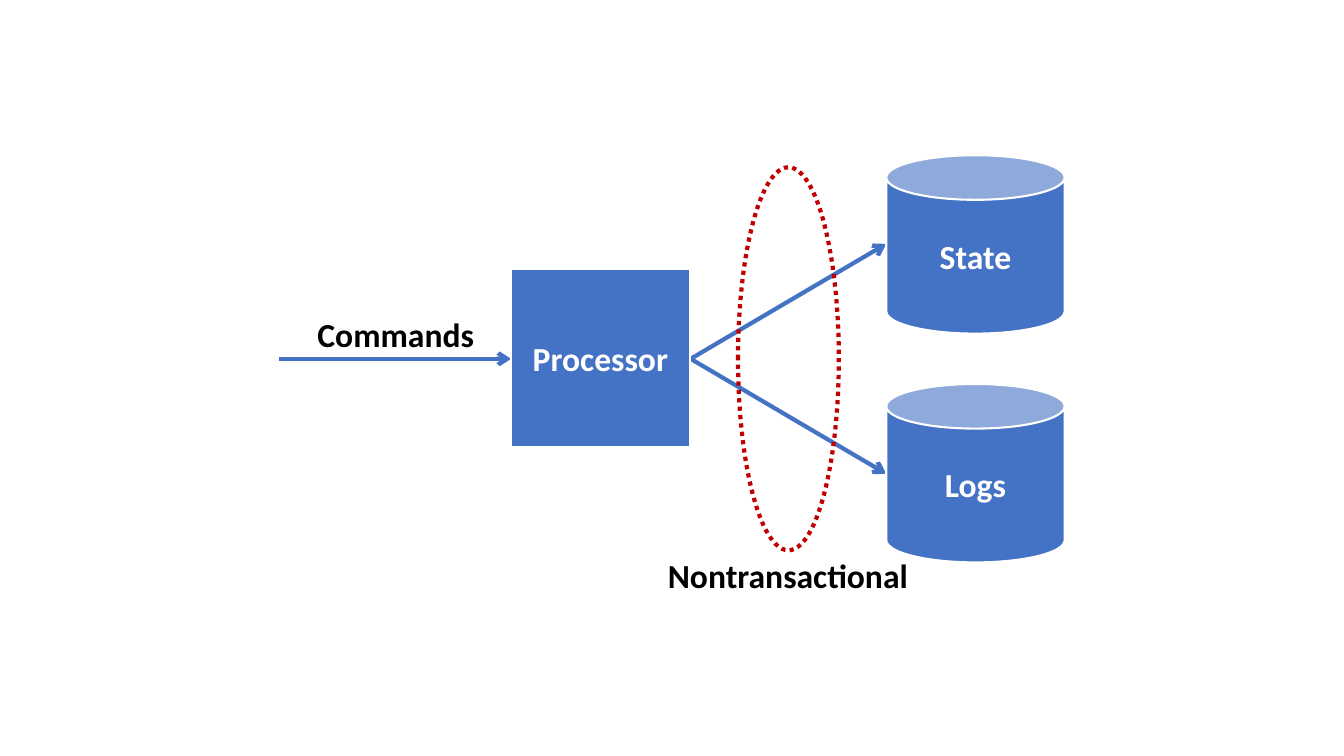
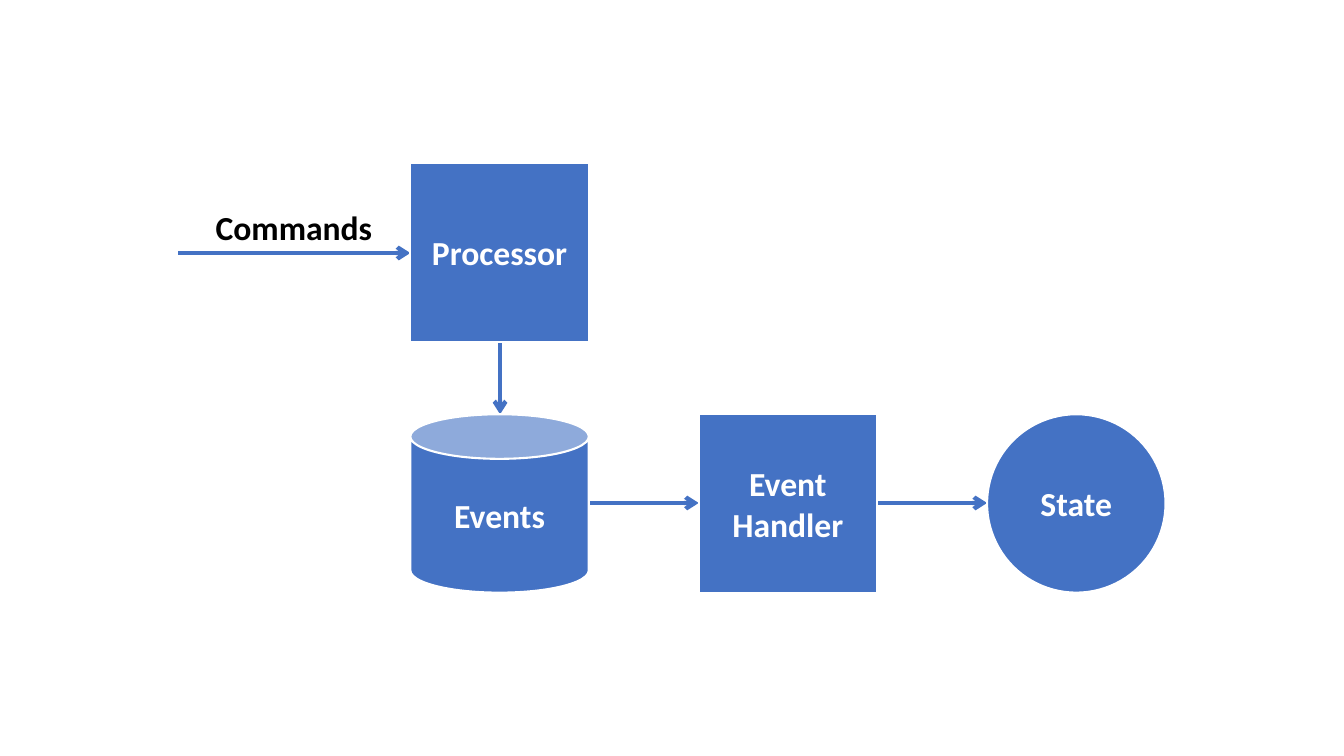
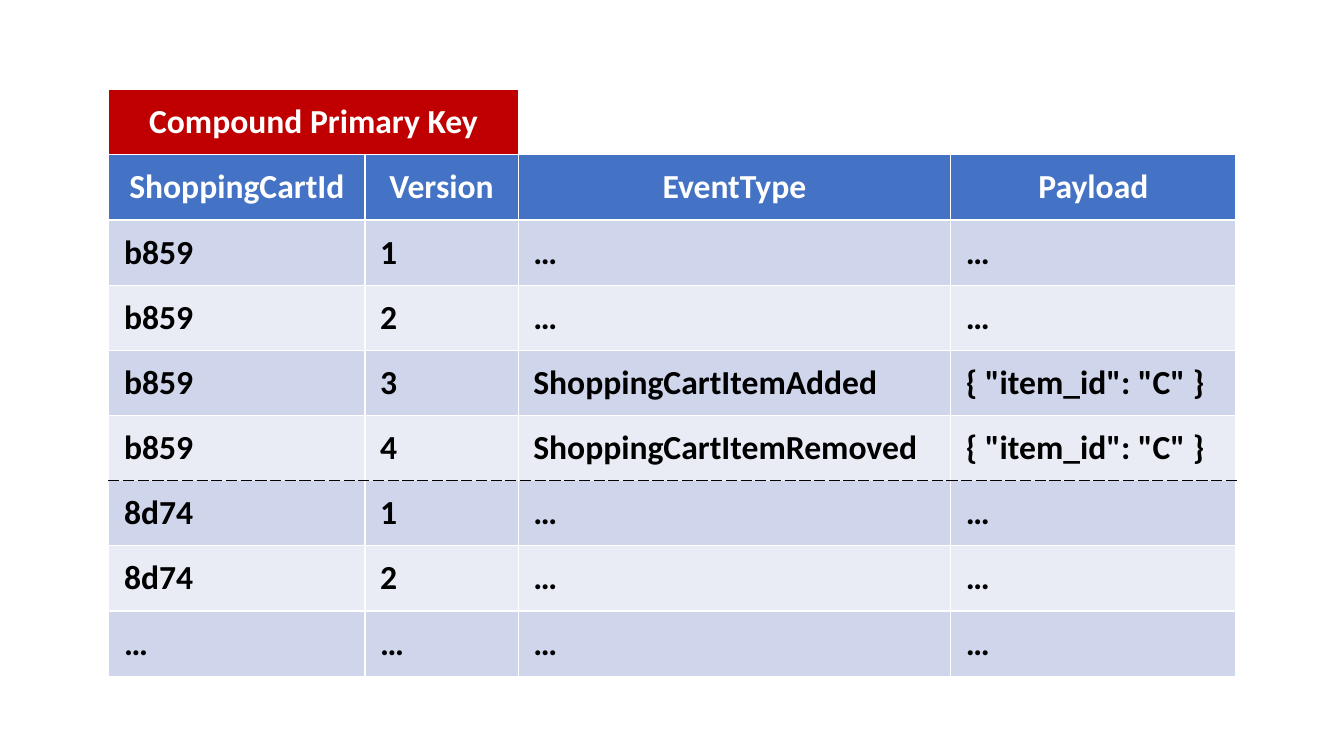
"""Builds three slides on event sourcing: two flow diagrams and an event table."""
import pptx
import pptx.dml.color
import pptx.enum.dml
import pptx.enum.shapes
import pptx.enum.text
import pptx.oxml.ns
import pptx.util
from lxml import etree

Inches = pptx.util.Inches
Pt = pptx.util.Pt
RGBColor = pptx.dml.color.RGBColor
SHAPE = pptx.enum.shapes.MSO_SHAPE
ANCHOR = pptx.enum.text.MSO_ANCHOR
ALIGN = pptx.enum.text.PP_ALIGN
qn = pptx.oxml.ns.qn

BLUE = RGBColor(0x44, 0x72, 0xC4)
RED = RGBColor(0xC0, 0x00, 0x00)
WHITE = RGBColor(0xFF, 0xFF, 0xFF)
BLACK = RGBColor(0x00, 0x00, 0x00)
DARK_BAND = RGBColor(0xCF, 0xD5, 0xEA)
LIGHT_BAND = RGBColor(0xE9, 0xEB, 0xF5)

FONT = {"name": "Calibri", "size": Pt(24), "bold": True}
NODE_SIZE = 1.77
LABEL_HEIGHT = 0.5


def write_text(text_frame, text, color, alignment=ALIGN.CENTER):
    paragraph = text_frame.paragraphs[0]
    paragraph.text = text
    paragraph.alignment = alignment
    for run in paragraph.runs:
        for attribute, value in FONT.items():
            setattr(run.font, attribute, value)
        run.font.color.rgb = color


def add_border(cell, side, color, dash):
    border = etree.SubElement(cell._tc.get_or_add_tcPr(), qn(f"a:ln{side}"), w=str(Pt(1)))
    fill = etree.SubElement(border, qn("a:solidFill"))
    etree.SubElement(fill, qn("a:srgbClr"), val=str(color))
    etree.SubElement(border, qn("a:prstDash"), val=dash)


diagrams = [
    {
        "arrows": [
            (6.85, 3.56, 8.79, 2.42),
            (6.85, 3.56, 8.79, 4.7),
            (2.77, 3.56, 5.07, 3.56),
        ],
        "nodes": [
            ("State", SHAPE.CAN, 8.79, 1.54),
            ("Logs", SHAPE.CAN, 8.79, 3.81),
            ("Processor", SHAPE.RECTANGLE, 5.07, 2.67),
        ],
        "labels": [
            ("Commands", 3.04, 3.06, 1.77, ANCHOR.BOTTOM),
            ("Nontransactional", 6.51, 5.46, 2.61, ANCHOR.TOP),
        ],
    },
    {
        "arrows": [
            (4.96, 3.39, 4.96, 4.11),
            (1.77, 2.51, 4.07, 2.51),
            (5.84, 4.99, 6.93, 4.99),
            (8.7, 4.99, 9.79, 4.99),
        ],
        "nodes": [
            ("Events", SHAPE.CAN, 4.07, 4.11),
            ("Processor", SHAPE.RECTANGLE, 4.07, 1.62),
            ("Event\nHandler", SHAPE.RECTANGLE, 6.93, 4.11),
            ("State", SHAPE.OVAL, 9.79, 4.11),
        ],
        "labels": [("Commands", 2.03, 2, 1.77, ANCHOR.BOTTOM)],
    },
]

presentation = pptx.Presentation()
presentation.slide_width = Inches(13.33)
presentation.slide_height = Inches(7.5)
blank_layout = presentation.slide_layouts[6]

for diagram in diagrams:
    slide = presentation.slides.add_slide(blank_layout)

    for ends in diagram["arrows"]:
        arrow = slide.shapes.add_connector(
            pptx.enum.shapes.MSO_CONNECTOR.STRAIGHT, *map(Inches, ends)
        )
        arrow.line.color.rgb = BLUE
        arrow.line.width = Pt(3)
        properties = arrow.element.spPr
        etree.SubElement(properties.find(qn("a:ln")), qn("a:tailEnd"), type="arrow")
        etree.SubElement(properties, qn("a:effectLst"))

    for text, preset, left, top in diagram["nodes"]:
        node = slide.shapes.add_shape(
            preset, Inches(left), Inches(top), Inches(NODE_SIZE), Inches(NODE_SIZE)
        )
        node.shadow.inherit = False
        node.fill.solid()
        node.fill.fore_color.rgb = BLUE
        node.line.color.rgb = WHITE
        node.line.width = Pt(1.5)
        write_text(node.text_frame, text, WHITE)

    for text, left, top, width, anchor in diagram["labels"]:
        label = slide.shapes.add_textbox(
            Inches(left), Inches(top), Inches(width), Inches(LABEL_HEIGHT)
        )
        label.text_frame.word_wrap = False
        label.text_frame.auto_size = pptx.enum.text.MSO_AUTO_SIZE.SHAPE_TO_FIT_TEXT
        label.text_frame.vertical_anchor = anchor
        write_text(label.text_frame, text, BLACK)

nontransactional_ring = presentation.slides[0].shapes.add_shape(
    SHAPE.OVAL, Inches(7.32), Inches(1.66), Inches(1), Inches(3.8)
)
nontransactional_ring.shadow.inherit = False
nontransactional_ring.fill.background()
nontransactional_ring.line.color.rgb = RED
nontransactional_ring.line.width = Pt(3)
nontransactional_ring.line.dash_style = pptx.enum.dml.MSO_LINE.ROUND_DOT

event_rows = [
    ("Compound Primary Key", "", "", ""),
    ("ShoppingCartId", "Version", "EventType", "Payload"),
    ("b859", "1", "…", "…"),
    ("b859", "2", "…", "…"),
    ("b859", "3", "ShoppingCartItemAdded", '{ "item_id": "C" }'),
    ("b859", "4", "ShoppingCartItemRemoved", '{ "item_id": "C" }'),
    ("8d74", "1", "…", "…"),
    ("8d74", "2", "…", "…"),
    ("…", "…", "…", "…"),
]
column_widths = [2.54, 1.52, 4.29, 2.83]
row_height = 0.64
header_rows = 2
last_row_of_first_cart = 5
cell_format = {
    "margin_left": Inches(0.15),
    "margin_right": Inches(0.15),
    "margin_top": Inches(0.12),
    "margin_bottom": Inches(0.12),
}

slide = presentation.slides.add_slide(blank_layout)
table = slide.shapes.add_table(
    len(event_rows), len(column_widths), Inches(1.08), Inches(0.89),
    Inches(sum(column_widths)), Inches(row_height * len(event_rows)),
).table
table.first_row = False
table.horz_banding = False
for column, width in zip(table.columns, column_widths):
    column.width = Inches(width)

for row_index, row in enumerate(event_rows):
    table.rows[row_index].height = Inches(row_height)
    is_header = row_index < header_rows
    band = (RED, BLUE)[row_index] if is_header else (DARK_BAND, LIGHT_BAND)[row_index % 2]
    dashed_side = {last_row_of_first_cart: "B", last_row_of_first_cart + 1: "T"}.get(row_index)
    for column_index, text in enumerate(row):
        cell = table.cell(row_index, column_index)
        for attribute, value in cell_format.items():
            setattr(cell, attribute, value)
        for side in "LRTB":
            if side == dashed_side:
                add_border(cell, side, BLACK, "sysDash")
            else:
                add_border(cell, side, WHITE, "solid")
        if row_index == 0 and column_index >= 2:
            cell.fill.background()
        else:
            cell.fill.solid()
            cell.fill.fore_color.rgb = band
        if text:
            write_text(
                cell.text_frame, text,
                WHITE if is_header else BLACK,
                ALIGN.CENTER if is_header else ALIGN.LEFT,
            )

for first_column in (0, 2):
    table.cell(0, first_column).merge(table.cell(0, first_column + 1))

presentation.save("out.pptx")
